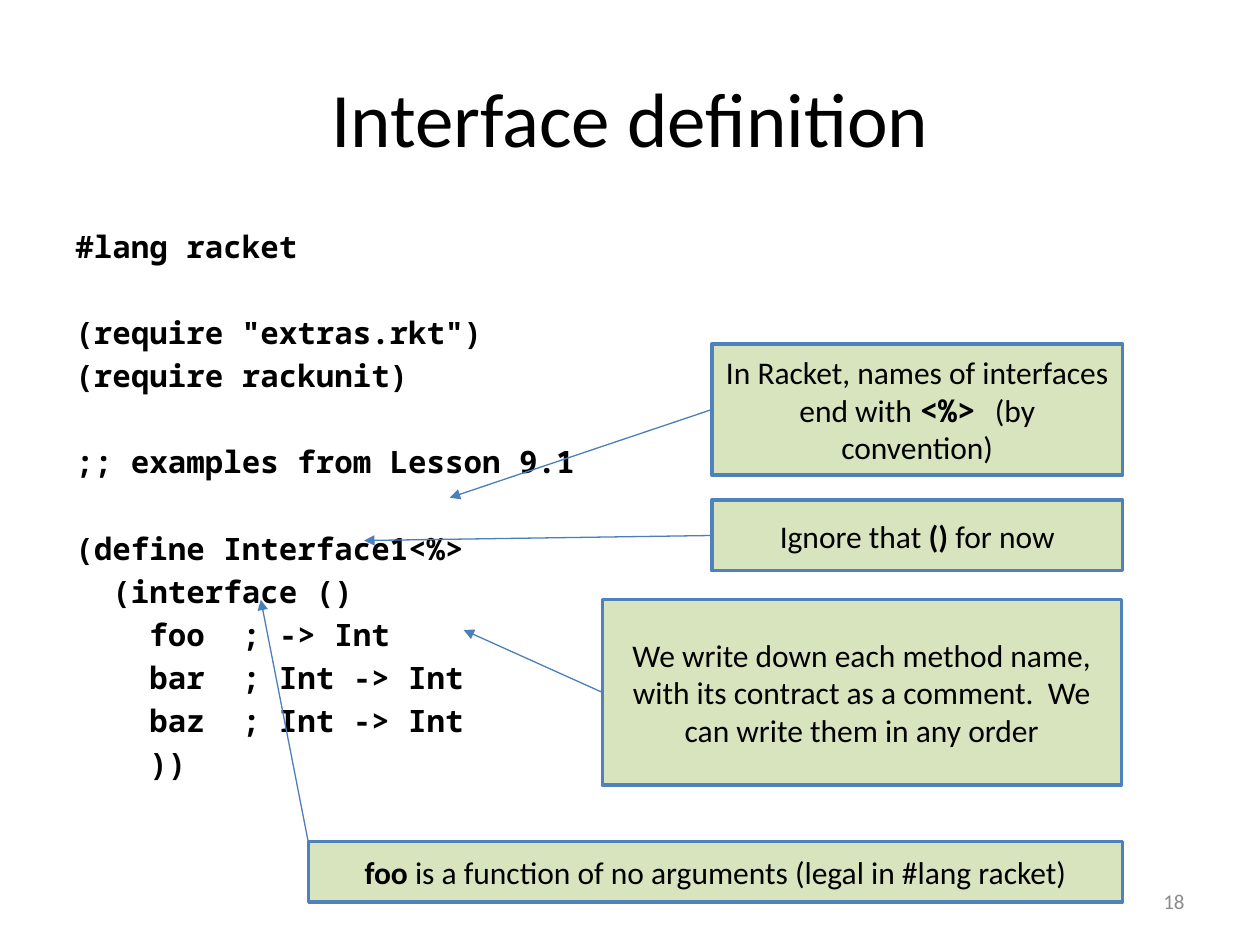
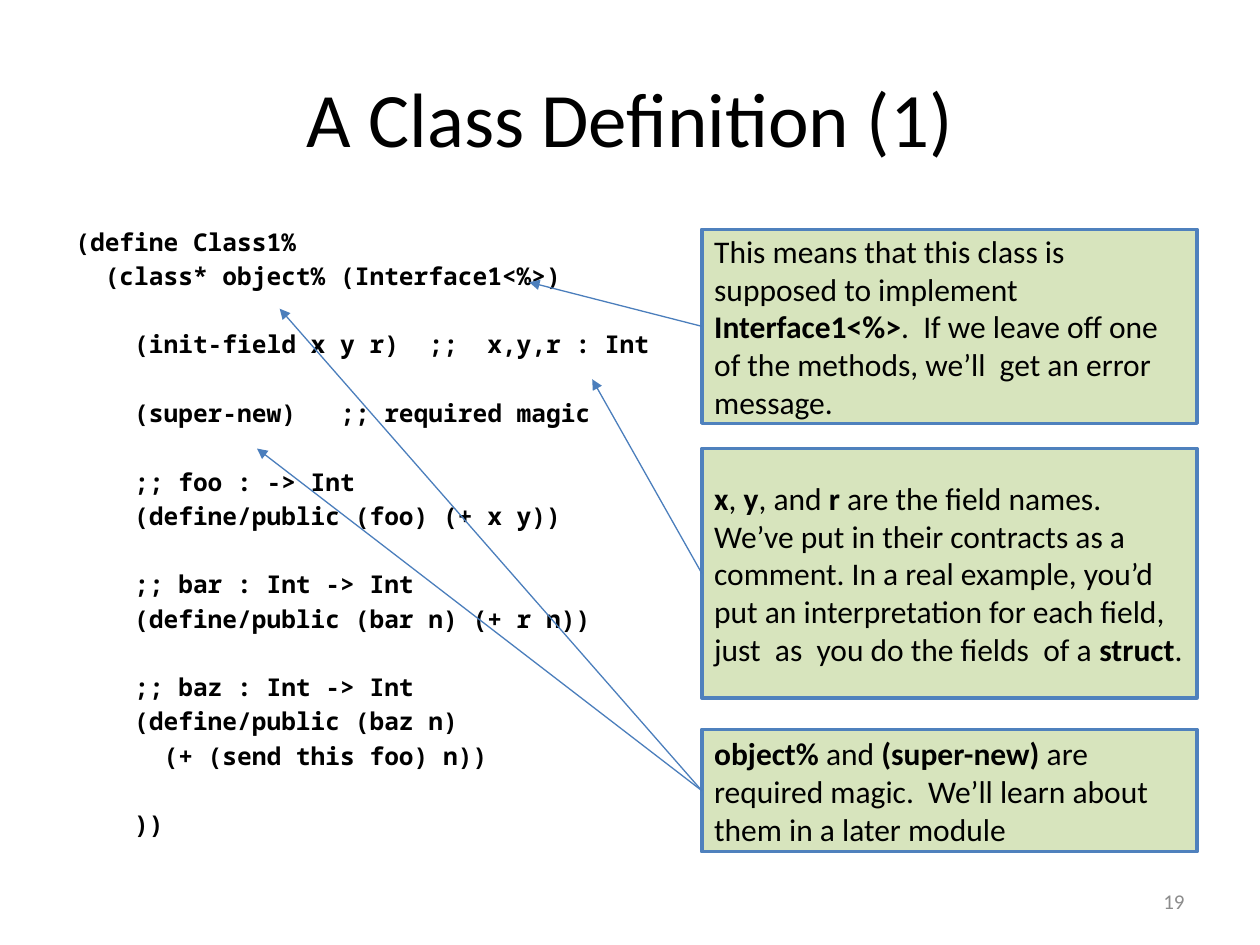
from dataclasses import dataclass
from pptx import Presentation
from pptx import util as u
from pptx.dml.color import RGBColor
from pptx.enum import shapes, text
from pptx.oxml.ns import qn
from lxml import etree


@dataclass(frozen=True)
class Theme:
    ink: str = "000000"
    fill: str = "D7E4BD"
    edge: str = "4F81BD"
    arrow: str = "4B7EBC"
    muted: str = "8C8C8C"
    sans: str = "Calibri"
    mono: str = "Noto Sans Mono"
    title: float = 44
    note: float = 18
    foot: float = 12


T = Theme()
LEFT = text.PP_ALIGN.LEFT
MID = text.PP_ALIGN.CENTER
RIGHT = text.PP_ALIGN.RIGHT


def rgb(code):
    return RGBColor.from_string(code)


def inches(*sizes):
    return [u.Inches(size) for size in sizes]


def write(shape, lines, size=T.note, font=T.sans, color=T.ink, bold=False,
          align=LEFT, anchor=text.MSO_ANCHOR.MIDDLE, pitch=None, strong=None, top=0.05):
    """Text between bars is bold; with a pitch, empty lines become spacing."""
    frame = shape.text_frame
    frame.word_wrap = True
    frame.vertical_anchor = anchor
    frame.margin_top = u.Inches(top)
    para, gap = frame.paragraphs[0], 0
    for row, line in enumerate(lines.split("\n")):
        if not line:
            gap += pitch
            continue
        if row:
            para = frame.add_paragraph()
        para.alignment = align
        if pitch:
            para.line_spacing = u.Pt(pitch)
            para.space_before = u.Pt(gap)
        gap = 0
        for i, part in enumerate(line.split("|")):
            if part:
                run = para.add_run()
                run.text = part
                run.font.size = u.Pt(size)
                run.font.bold = bold or i % 2 == 1
                run.font.name = strong if strong and i % 2 else font
                run.font.color.rgb = rgb(color)


def label(slide, box, words, **style):
    write(slide.shapes.add_textbox(*inches(*box)), words, **style)


def page(deck, title, number):
    slide = deck.slides.add_slide(deck.slide_layouts[6])
    label(slide, (0.5, 0.3, 9, 1.25), title, size=T.title, align=MID)
    label(slide, (7.17, 6.95, 2.33, 0.4), str(number), size=T.foot,
          color=T.muted, align=RIGHT)
    return slide


def code(slide, lines, size, pitch):
    label(slide, (0.5, 1.75, 9, 4.95), lines, size=size, font=T.mono, bold=True,
          anchor=text.MSO_ANCHOR.TOP, pitch=pitch, top=0.01)


def arrow(slide, start, tip, box=None):
    line = slide.shapes.add_connector(shapes.MSO_CONNECTOR.STRAIGHT,
                                      *inches(*start, *tip))
    if box is not None:
        line.begin_connect(box, 1)
    line.line.color.rgb = rgb(T.arrow)
    line.line.width = u.Pt(0.75)
    etree.SubElement(line.line._get_or_add_ln(), qn("a:tailEnd"), type="triangle")
    etree.SubElement(line._element.spPr, qn("a:effectLst"))


def note(slide, box, words, tips=(), **style):
    shape = slide.shapes.add_shape(shapes.MSO_SHAPE.RECTANGLE, *inches(*box))
    shape.shadow.inherit = False
    shape.fill.solid()
    shape.fill.fore_color.rgb = rgb(T.fill)
    shape.line.color.rgb = rgb(T.edge)
    shape.line.width = u.Pt(2)
    write(shape, words, **style)
    left, top, _, height = box
    for tip in tips:
        arrow(slide, (left, top + height / 2), tip, shape)


FACE = """#lang racket

(require "extras.rkt")
(require rackunit)

;; examples from Lesson 9.1

(define Interface1<%>
  (interface ()
    foo  ; -> Int
    bar  ; Int -> Int
    baz  ; Int -> Int
    ))"""

CLASS = """(define Class1%
  (class* object% (Interface1<%>)

    (init-field x y r)  ;;  x,y,r : Int

    (super-new)   ;; required magic

    ;; foo : -> Int
    (define/public (foo) (+ x y))

    ;; bar : Int -> Int
    (define/public (bar n) (+ r n))

    ;; baz : Int -> Int
    (define/public (baz n)
      (+ (send this foo) n))

    ))"""


def face(deck):
    slide = page(deck, "Interface definition", 18)
    code(slide, FACE, 17.6, 24.6)
    note(slide, (5.65, 2.73, 3.26, 1.04),
         "In Racket, names of interfaces end with |<%> |(by convention)",
         [(3.57, 3.95)], align=MID, strong=T.mono)
    note(slide, (5.65, 3.97, 3.26, 0.56), "Ignore that| () |for now",
         [(2.89, 4.29)], align=MID)
    note(slide, (4.78, 4.76, 4.12, 1.47),
         "We write down each method name, with its contract as a comment.  "
         "We can write them in any order", [(3.68, 5)], align=MID)
    note(slide, (2.45, 6.68, 6.46, 0.48),
         "|foo| is a function of no arguments (legal in #lang racket)", align=MID)
    arrow(slide, (2.45, 6.7), (2.07, 4.76))


def klass(deck):
    slide = page(deck, "A Class Definition (1)", 19)
    code(slide, CLASS, 14, 19.6)
    left, width = 5.57, 3.93
    notes = [
        (1.82, 1.54, "This means that this class is supposed to implement "
         "|Interface1<%>|.  If we leave off one of the methods, "
         "we’ll  get an error message.", [(4.2, 2.24)]),
        (3.56, 1.98, "|x|, |y|, and |r| are the field names.  We’ve put in their "
         "contracts as a comment. In a real example, you’d put an interpretation "
         "for each field, just  as  you do the fields  of a |struct|.",
         [(4.7, 3.01)]),
        (5.79, 0.97, "|object% |and |(super-new) |are required magic.  "
         "We’ll learn about them in a later module",
         [(2.22, 2.45), (2.04, 3.56)]),
    ]
    for top, height, words, tips in notes:
        note(slide, (left, top, width, height), words, tips)


def main():
    deck = Presentation()
    deck.slide_width, deck.slide_height = inches(10, 7.5)
    face(deck)
    klass(deck)
    deck.save("out.pptx")


if __name__ == "__main__":
    main()
